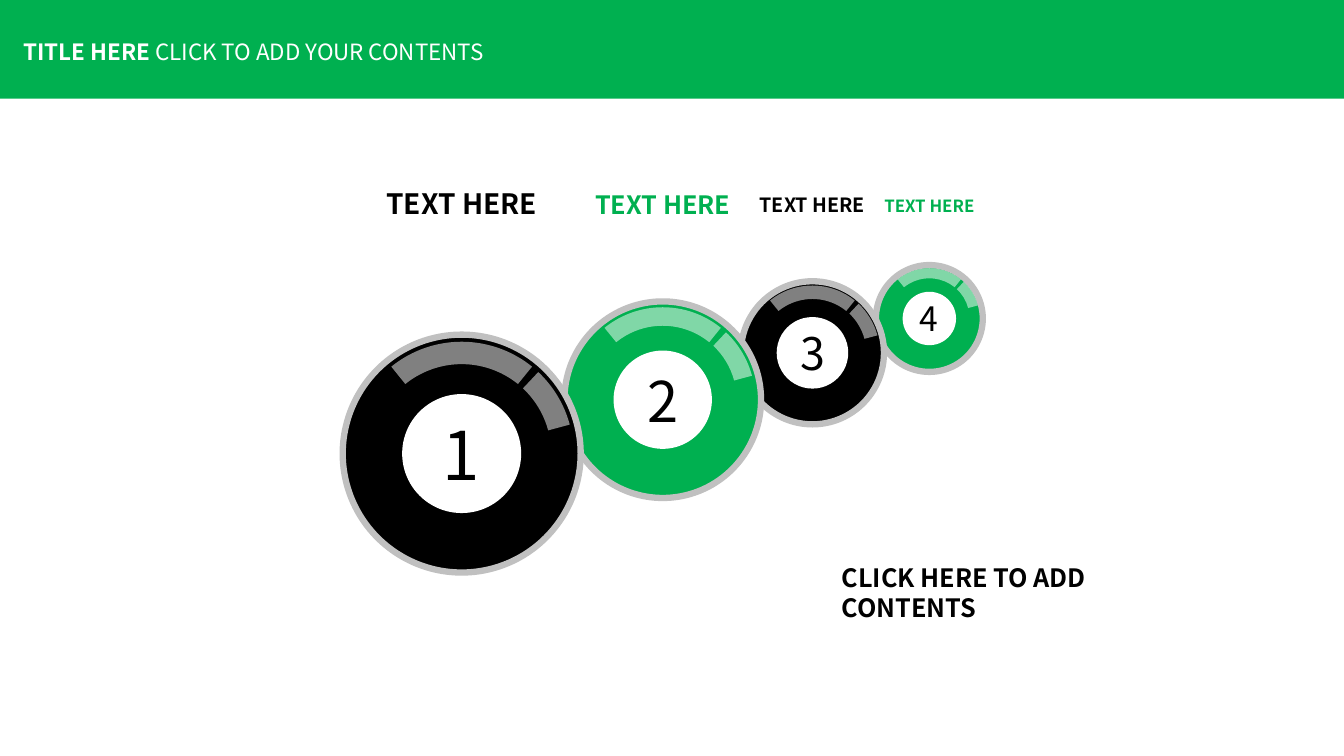
from pptx import Presentation
from pptx.dml.color import RGBColor
from pptx.enum.shapes import MSO_SHAPE
from pptx.enum.text import MSO_ANCHOR, MSO_AUTO_SIZE, PP_ALIGN
from pptx.oxml.ns import qn
from pptx.util import Inches, Pt
from lxml.etree import SubElement

WIDE, HIGH = Inches(13.33), Inches(7.5)
FONT = "Noto Sans CJK SC"
HUES = {"green": "00B050", "black": "000000", "white": "FFFFFF", "rim": "C0C0C0"}
GLOSS = [(231, 309, 0), (254.4, 286.2, 58.8)]
BALLS = [
    ("4", "green", (69.15, 42.13, 14.13), 24, (27.2, 9.75, 4), 12),
    ("3", "black", (60.45, 46.67, 18.93), 32, (27.13, 11.63, 4.4), 14),
    ("2", "green", (49.31, 52.87, 26), 40, (27.07, 12.68, 5.33), 18),
    ("1", "black", (34.35, 60, 31.47), 48, (26.87, 15.38, 5.73), 20),
]


def across(part):
    """Turn a percentage of the slide's width into a length."""
    return int(WIDE * part / 100)


def down(part):
    """Turn a percentage of the slide's height into a length."""
    return int(HIGH * part / 100)


def paint(run, size, hue, bold=False):
    """Format one run of text."""
    font = run.font
    font.name, font.size, font.bold = FONT, Pt(size), bold
    font.color.rgb = RGBColor.from_string(HUES[hue])


def add_form(slide, kind, box, hue):
    """Add a filled preset shape with neither line nor shadow."""
    form = slide.shapes.add_shape(kind, *box)
    form.shadow.inherit = False
    form.fill.solid()
    form.fill.fore_color.rgb = RGBColor.from_string(HUES[hue])
    form.line.fill.background()
    return form


def add_disc(slide, mid, size, hue, kind=MSO_SHAPE.OVAL):
    """Add a round shape about a middle point."""
    box = (mid[0] - size // 2, mid[1] - size // 2, size, size)
    return add_form(slide, kind, box, hue)


def add_gloss(slide, mid, size, start, end, turn):
    """Add a half-clear band of light inside a ball."""
    band = add_disc(slide, mid, size, "white", MSO_SHAPE.BLOCK_ARC)
    for spot, value in enumerate((start * 0.6, end * 0.6, 0.1)):
        band.adjustments[spot] = value
    band.rotation = turn
    tint = band.fill._xPr.find(qn("a:solidFill"))[0]
    SubElement(tint, qn("a:alpha"), val="50000")


def add_ball(slide, digit, hue, place, size):
    """Add a numbered ball with its rim, gloss and white core."""
    left, top, span = place
    mid, wide = (across(left), down(top)), down(span)
    ball = add_disc(slide, mid, wide, hue)
    ball.line.color.rgb = RGBColor.from_string(HUES["rim"])
    ball.line.width = Pt(4.5)
    for start, end, turn in GLOSS:
        add_gloss(slide, mid, int(wide * 0.94), start, end, turn)
    core = add_disc(slide, mid, wide // 2, "white")
    frame = core.text_frame
    frame.text = digit
    frame.word_wrap = False
    frame.vertical_anchor = MSO_ANCHOR.MIDDLE
    frame.paragraphs[0].alignment = PP_ALIGN.CENTER
    paint(frame.paragraphs[0].runs[0], size, "black")


def add_label(slide, text, box, size, hue, align):
    """Add a bold text box."""
    frame = slide.shapes.add_textbox(*box).text_frame
    frame.word_wrap = True
    frame.text = text
    frame.paragraphs[0].alignment = align
    paint(frame.paragraphs[0].runs[0], size, hue, True)


def add_head(slide):
    """Add the green bar and set the title upon it."""
    title = slide.shapes.title
    bar = add_form(slide, MSO_SHAPE.RECTANGLE, (0, 0, WIDE, down(13.07)), "green")
    title.element.addprevious(bar.element)
    title.left, title.top = across(1), down(4.4)
    title.width, title.height = across(40.74), down(4.93)
    frame = title.text_frame
    frame.auto_size = MSO_AUTO_SIZE.NONE
    frame.vertical_anchor = MSO_ANCHOR.TOP
    line = frame.paragraphs[0]
    line.alignment = PP_ALIGN.LEFT
    for text, bold in (("TITLE HERE ", True), ("CLICK TO ADD YOUR CONTENTS", False)):
        run = line.add_run()
        run.text = text
        paint(run, 16, "white", bold)


def main():
    """Build and save the slide."""
    deck = Presentation()
    deck.slide_width, deck.slide_height = WIDE, HIGH
    slide = deck.slides.add_slide(deck.slide_layouts[5])
    add_head(slide)
    for digit, hue, place, size, (mid, wide, high), small in BALLS:
        add_ball(slide, digit, hue, place, size)
        box = (across(place[0] - wide / 2), down(mid - high / 2), across(wide), down(high))
        add_label(slide, "TEXT HERE", box, small, hue, PP_ALIGN.CENTER)
    box = (across(61.89), down(73.73), across(24.23), down(9.47))
    add_label(slide, "CLICK HERE TO ADD CONTENTS", box, 18, "black", PP_ALIGN.LEFT)
    deck.save("out.pptx")


if __name__ == "__main__":
    main()
